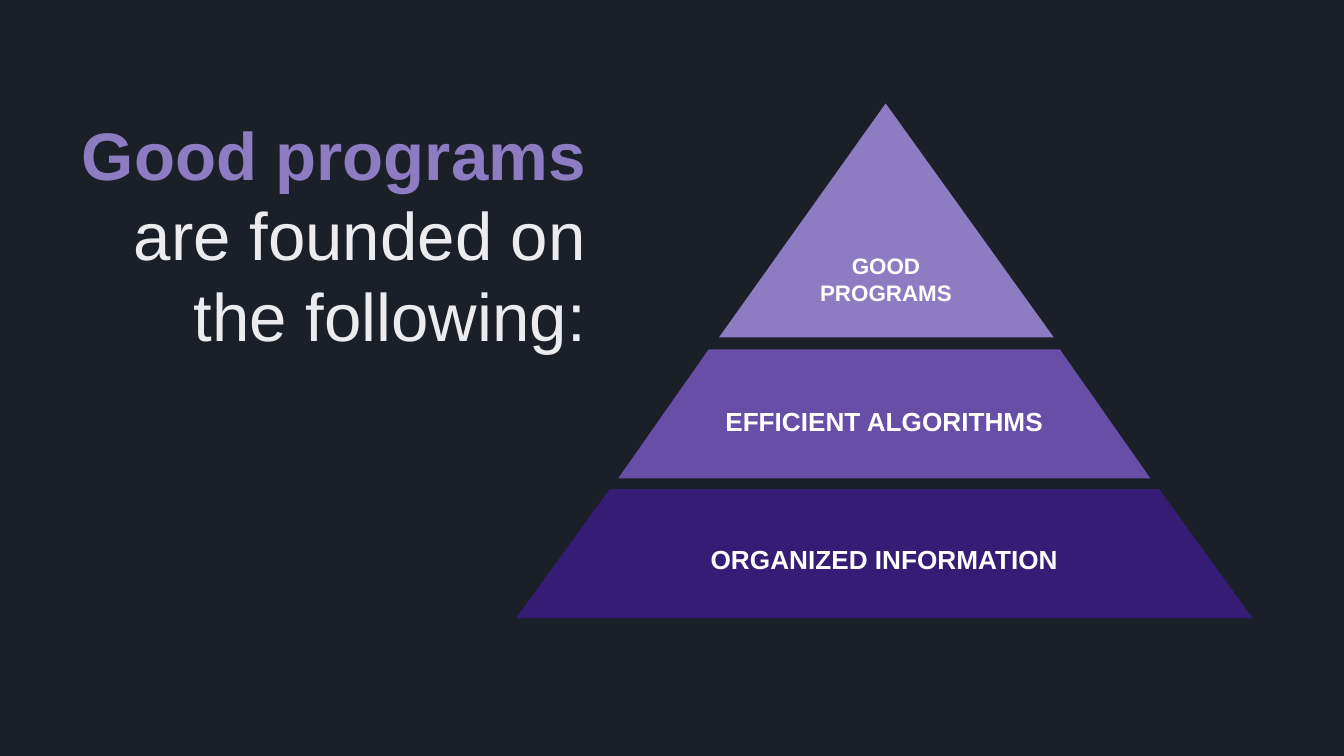
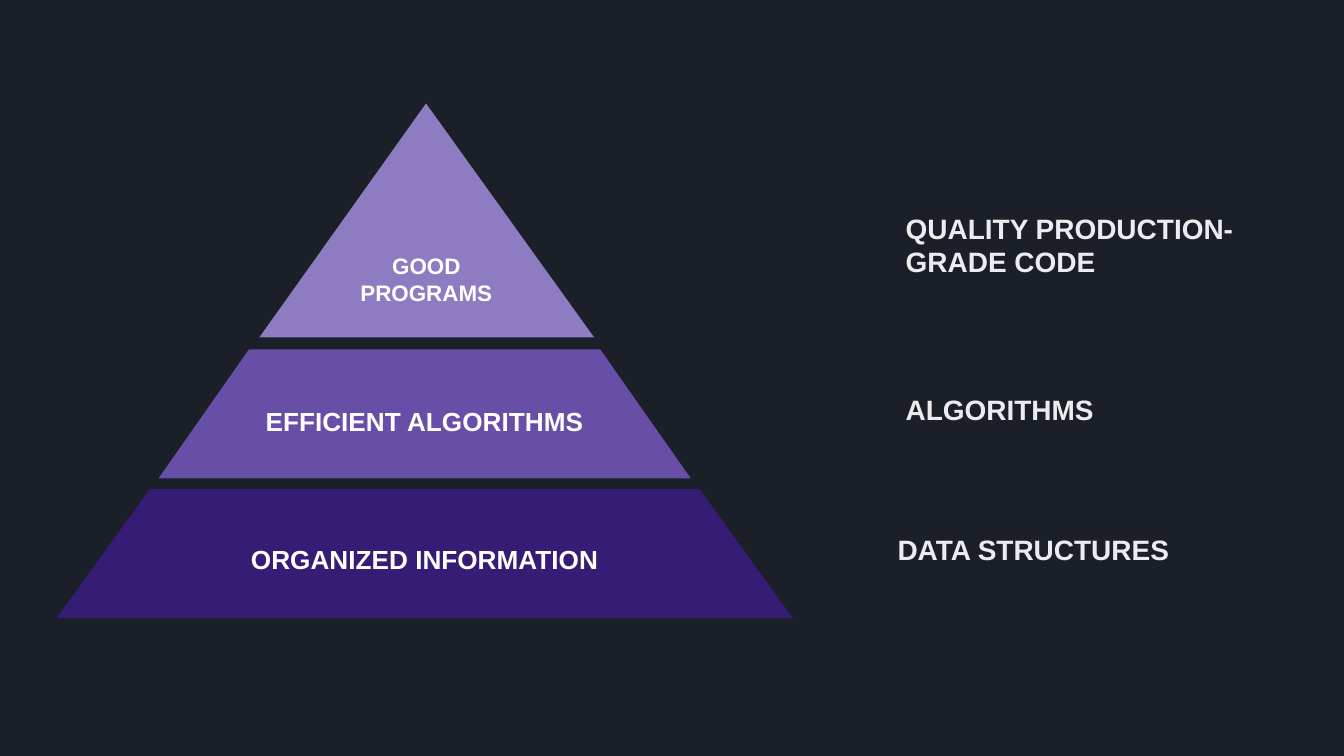
"""Build two slides showing the pyramid that good programs rest on."""
from pptx import Presentation
from pptx.dml.color import RGBColor
from pptx.enum.shapes import MSO_SHAPE
from pptx.enum.text import MSO_ANCHOR, MSO_AUTO_SIZE, PP_ALIGN
from pptx.util import Inches, Pt

PX = Inches(1) // 100
FONT = "Arial"
NIGHT = RGBColor(0x1B, 0x1F, 0x28)
MIST = RGBColor(0xEC, 0xEC, 0xEE)
WHITE = RGBColor(0xFF, 0xFF, 0xFF)
LILAC = RGBColor(0x8E, 0x7C, 0xC3)
VIOLET = RGBColor(0x67, 0x4E, 0xA7)
INDIGO = RGBColor(0x35, 0x1C, 0x75)

TIERS = [
    ("GOOD PROGRAMS", MSO_SHAPE.ISOSCELES_TRIANGLE, 0.498, 151, 77, 249, 174, LILAC, 12),
    ("ORGANIZED INFORMATION", MSO_SHAPE.TRAPEZOID, 0.724, 0, 364, 548, 96, INDIGO, 14),
    ("EFFICIENT ALGORITHMS", MSO_SHAPE.TRAPEZOID, 0.701, 76, 260, 396, 96, VIOLET, 14),
]
MEANINGS = [
    ("DATA STRUCTURES", 658, 386, 224),
    ("ALGORITHMS", 664, 282, 224),
    ("QUALITY PRODUCTION-GRADE CODE", 664, 147, 278),
]


def format_text(shape, size, color, align, anchor, bold=True):
    frame = shape.text_frame
    frame.word_wrap = True
    frame.auto_size = MSO_AUTO_SIZE.NONE
    frame.vertical_anchor = anchor
    frame.margin_left = frame.margin_right = 10 * PX
    frame.margin_top = frame.margin_bottom = 10 * PX
    paragraph = frame.paragraphs[0]
    paragraph.alignment = align
    paragraph.line_spacing = 1.0
    paragraph.font.name = FONT
    paragraph.font.size = Pt(size)
    paragraph.font.bold = bold
    paragraph.font.color.rgb = color


def add_pyramid(slide, left):
    for label, outline, slant, indent, top, width, height, color, size in TIERS:
        tier = slide.shapes.add_shape(
            outline, (left + indent) * PX, top * PX, width * PX, height * PX)
        tier.adjustments[0] = slant
        tier.shadow.inherit = False
        tier.fill.solid()
        tier.fill.fore_color.rgb = color
        tier.line.fill.background()
        tier.text_frame.text = label
        format_text(tier, size, WHITE, PP_ALIGN.CENTER, MSO_ANCHOR.MIDDLE)


deck = Presentation()
deck.slide_width = 1000 * PX
deck.slide_height = deck.slide_width * 9 // 16
backdrop = deck.slide_master.background.fill
backdrop.solid()
backdrop.fore_color.rgb = NIGHT

foundations = deck.slides.add_slide(deck.slide_layouts.get_by_name("Title Only"))
add_pyramid(foundations, 384)
headline = foundations.shapes.title
headline.left, headline.top = 8 * PX, 74 * PX
headline.width, headline.height = 438 * PX, 81 * PX
statement = headline.text_frame.paragraphs[0]
subject = statement.add_run()
subject.text = "Good programs "
subject.font.bold = True
subject.font.color.rgb = LILAC
statement.add_run().text = "are founded on the following:"
format_text(headline, 36, MIST, PP_ALIGN.RIGHT, MSO_ANCHOR.TOP, bold=False)

meanings = deck.slides.add_slide(deck.slide_layouts.get_by_name("Blank"))
add_pyramid(meanings, 42)
for wording, left, top, width in MEANINGS:
    meaning = meanings.shapes.add_textbox(left * PX, top * PX, width * PX, 52 * PX)
    meaning.text_frame.text = wording
    format_text(meaning, 15, MIST, PP_ALIGN.LEFT, MSO_ANCHOR.TOP)

deck.save("out.pptx")
